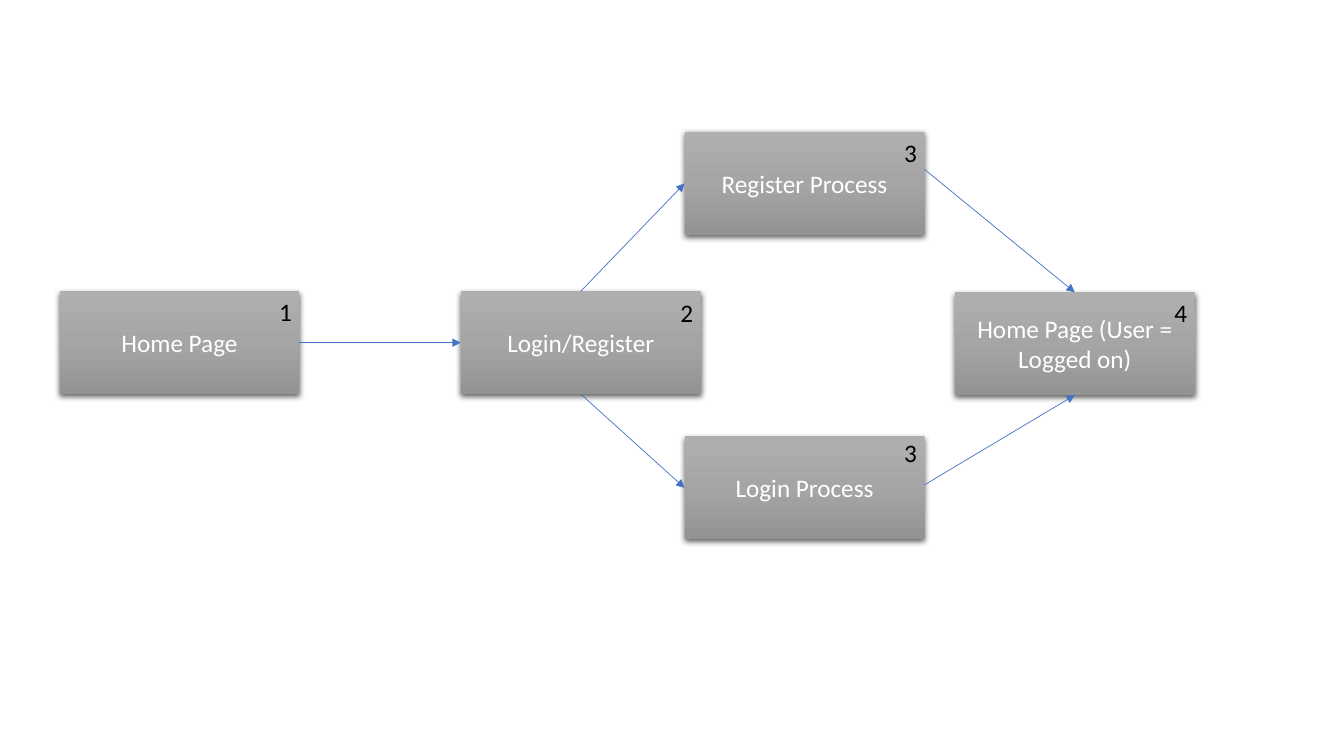
from dataclasses import dataclass
from enum import IntEnum

from lxml.etree import SubElement
from pptx import Presentation
from pptx.dml.color import RGBColor
from pptx.enum.shapes import MSO_CONNECTOR, MSO_SHAPE
from pptx.enum.text import MSO_ANCHOR, MSO_AUTO_SIZE, PP_ALIGN
from pptx.oxml import parse_xml
from pptx.oxml.ns import nsdecls, qn
from pptx.shapes.autoshape import Shape
from pptx.slide import Slide
from pptx.text.text import TextFrame
from pptx.util import Inches, Pt


@dataclass(frozen=True)
class Theme:
    """Colours and type of the slide."""
    font: str = "Calibri"
    size: int = 18
    label: str = "FFFFFF"
    badge: str = "000000"
    arrow: str = "4472C4"
    shade: str = "000000"
    fade: tuple[str, ...] = ("AFAFAF", "A5A5A5", "939393")


@dataclass(frozen=True)
class Step:
    """A numbered box; drop moves its number down from the top edge."""
    label: str
    number: int
    left: float
    top: float
    drop: float = 0


class Side(IntEnum):
    """Connection sites of a rectangle."""
    TOP = 0
    LEFT = 1
    BOTTOM = 2
    RIGHT = 3


@dataclass(frozen=True)
class Link:
    """An arrow between two steps; shift moves its start off the site."""
    start: str
    leave: Side
    end: str
    enter: Side
    shift: float = 0


THEME = Theme()
BOX_W, BOX_H = 2.38, 1.02
BADGE_W, BADGE_H = 0.3, 0.4

STEPS = {
    "home": Step("Home Page", 1, 0.59, 2.89),
    "login": Step("Login Process", 3, 6.79, 4.33, -0.04),
    "logged": Step("Home Page (User = Logged on)", 4, 9.47, 2.9),
    "register": Step("Register Process", 3, 6.79, 1.31),
    "choice": Step("Login/Register", 2, 4.57, 2.89, 0.01),
}
LINKS = [
    Link("home", Side.RIGHT, "choice", Side.LEFT),
    Link("choice", Side.BOTTOM, "login", Side.LEFT),
    Link("choice", Side.TOP, "register", Side.LEFT),
    Link("register", Side.RIGHT, "logged", Side.TOP, -0.14),
    Link("login", Side.RIGHT, "logged", Side.BOTTOM, -0.03),
]


def write(frame: TextFrame, text: str, color: str, align: PP_ALIGN) -> None:
    """Set one paragraph of text in the theme font."""
    frame.text = text
    frame.paragraphs[0].alignment = align
    font = frame.paragraphs[0].runs[0].font
    font.name, font.size = THEME.font, Pt(THEME.size)
    font.color.rgb = RGBColor.from_string(color)


def style(box: Shape) -> None:
    """Give a box its vertical gradient and soft shadow, with no outline."""
    stops = "".join(
        f'<a:gs pos="{50000 * i}"><a:srgbClr val="{color}"/></a:gs>'
        for i, color in enumerate(THEME.fade))
    props = box.element.spPr
    props.append(parse_xml(
        f'<a:gradFill {nsdecls("a")} rotWithShape="1"><a:gsLst>{stops}</a:gsLst>'
        '<a:lin ang="5400000" scaled="0"/></a:gradFill>'))
    box.line.fill.background()
    props.append(parse_xml(
        f'<a:effectLst {nsdecls("a")}><a:outerShdw blurRad="{Pt(4.5)}" '
        f'dist="{Pt(1.5)}" dir="5400000" algn="ctr" rotWithShape="0">'
        f'<a:srgbClr val="{THEME.shade}"><a:alpha val="63000"/></a:srgbClr>'
        '</a:outerShdw></a:effectLst>'))


def add_box(slide: Slide, step: Step) -> Shape:
    """Draw the box of a step with its label."""
    box = slide.shapes.add_shape(
        MSO_SHAPE.RECTANGLE, Inches(step.left), Inches(step.top),
        Inches(BOX_W), Inches(BOX_H))
    style(box)
    box.text_frame.word_wrap = True
    box.text_frame.vertical_anchor = MSO_ANCHOR.MIDDLE
    write(box.text_frame, step.label, THEME.label, PP_ALIGN.CENTER)
    return box


def add_badge(slide: Slide, step: Step) -> None:
    """Put the number of a step in the top right corner of its box."""
    badge = slide.shapes.add_textbox(
        Inches(step.left + BOX_W - BADGE_W), Inches(step.top + step.drop),
        Inches(BADGE_W), Inches(BADGE_H))
    badge.text_frame.word_wrap = True
    badge.text_frame.auto_size = MSO_AUTO_SIZE.SHAPE_TO_FIT_TEXT
    write(badge.text_frame, str(step.number), THEME.badge, PP_ALIGN.LEFT)


def add_link(slide: Slide, link: Link, boxes: dict[str, Shape]) -> None:
    """Draw an arrow, joined to its boxes wherever it meets a site."""
    box = boxes[link.start]
    arrow = slide.shapes.add_connector(
        MSO_CONNECTOR.STRAIGHT, box.left + box.width,
        box.top + box.height // 2 + Inches(link.shift), 0, 0)
    if not link.shift:
        arrow.begin_connect(box, link.leave)
    arrow.end_connect(boxes[link.end], link.enter)
    arrow.line.color.rgb = RGBColor.from_string(THEME.arrow)
    arrow.line.width = Pt(0.5)
    SubElement(arrow.line._get_or_add_ln(), qn("a:tailEnd"), type="triangle")
    SubElement(arrow.element.spPr, qn("a:effectLst"))


def main() -> None:
    """Build the login flow slide and save it."""
    deck = Presentation()
    deck.slide_width, deck.slide_height = Inches(13.33), Inches(7.5)
    slide = deck.slides.add_slide(deck.slide_layouts[6])
    boxes = {name: add_box(slide, step) for name, step in STEPS.items()}
    for link in LINKS:
        add_link(slide, link, boxes)
    for step in STEPS.values():
        add_badge(slide, step)
    deck.save("out.pptx")


main()
